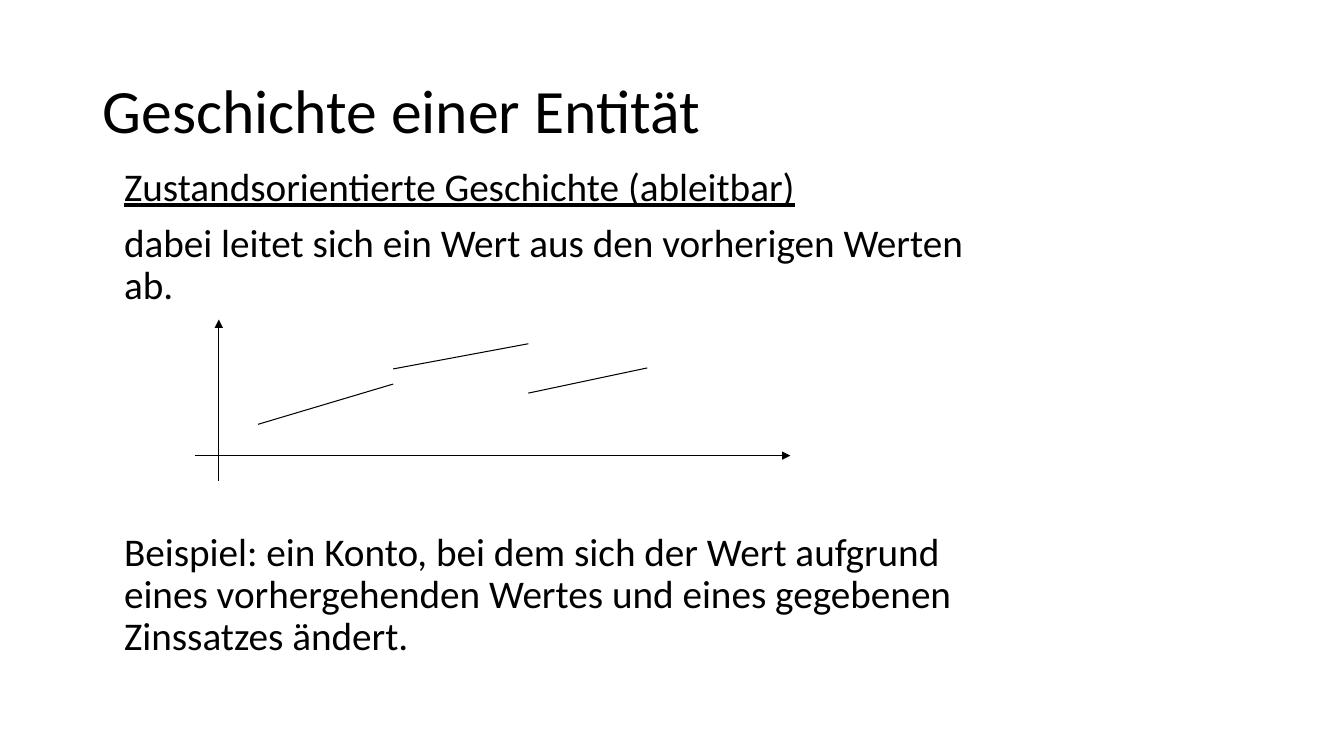
import dataclasses

import pptx
import pptx.dml.color
import pptx.enum.text
import pptx.oxml
import pptx.oxml.ns
import pptx.util

# The slide is a grid of 100 columns and 100 rows
WIDE = pptx.util.Inches(13.33)
HIGH = pptx.util.Inches(7.5)
INK = "000000"


@dataclasses.dataclass
class Line:
    start: tuple[float, float]
    end: tuple[float, float]
    arrow: bool = False


@dataclasses.dataclass
class Para:
    text: str
    size: float = 28
    before: float = 0
    under: bool = False


AXES = [
    Line((14.48, 60.27), (58.81, 60.27), True),
    Line((16.28, 63.6), (16.28, 42.27), True),
]
STEPS = [
    Line((19.2, 56.13), (29.26, 50.8)),
    Line((29.26, 48.8), (39.31, 45.47)),
    Line((39.31, 52), (48.16, 48.67)),
]
TITLE = [Para("Geschichte einer Entität", size=44)]
BODY = [
    Para("Zustandsorientierte Geschichte (ableitbar)", under=True),
    Para("dabei leitet sich ein Wert aus den vorherigen Werten ab.", before=10),
    Para("Beispiel: ein Konto, bei dem sich der Wert aufgrund eines "
         "vorhergehenden Wertes und eines gegebenen Zinssatzes ändert.",
         before=160),
]


def col(share: float) -> int:
    return round(WIDE * share / 100)


def row(share: float) -> int:
    return round(HIGH * share / 100)


def color(code: str) -> pptx.dml.color.RGBColor:
    return pptx.dml.color.RGBColor.from_string(code)


def add_tag(parent, name: str, **values: str) -> None:
    tag = pptx.oxml.ns.qn(name)
    parent.append(parent.makeelement(tag, values))


def fill_text(holder, area: tuple, paras: list[Para], anchor) -> None:
    left, top, width, height = area
    holder.left, holder.top = col(left), row(top)
    holder.width, holder.height = col(width), row(height)
    frame = holder.text_frame
    frame.word_wrap = True
    frame.auto_size = pptx.enum.text.MSO_AUTO_SIZE.NONE
    frame.vertical_anchor = anchor
    for index, item in enumerate(paras):
        para = frame.add_paragraph() if index else frame.paragraphs[0]
        props = para._p.get_or_add_pPr()
        props.set("marL", "0")
        props.set("indent", "0")
        add_tag(props, "a:buNone")
        para.alignment = pptx.enum.text.PP_ALIGN.LEFT
        para.line_spacing = 0.9
        para.space_before = pptx.util.Pt(item.before)
        run = para.add_run()
        run.text = item.text
        run.font.name = "Calibri"
        run.font.size = pptx.util.Pt(item.size)
        run.font.underline = item.under
        run.font.color.rgb = color(INK)


def draw_line(slide, line: Line) -> None:
    (left, top), (right, base) = line.start, line.end
    link = slide.shapes.add_connector(
        pptx.enum.shapes.MSO_CONNECTOR.STRAIGHT,
        col(left), row(top), col(right), row(base))
    link.line.color.rgb = color(INK)
    link.line.width = pptx.util.Pt(0.75)
    if line.arrow:
        add_tag(link.line._get_or_add_ln(), "a:tailEnd", type="triangle")
    add_tag(link._element.spPr, "a:effectLst")


def main() -> None:
    deck = pptx.Presentation()
    deck.slide_width, deck.slide_height = WIDE, HIGH
    slide = deck.slides.add_slide(deck.slide_layouts[1])

    # Title and body
    anchor = pptx.enum.text.MSO_ANCHOR
    fill_text(slide.shapes.title, (6.9, 5.33, 86.27, 19.33), TITLE,
              anchor.MIDDLE)
    fill_text(slide.placeholders[1], (8.48, 21.47, 67.52, 74.53), BODY,
              anchor.TOP)

    # Value over time
    for line in AXES + STEPS:
        draw_line(slide, line)

    deck.save("out.pptx")


if __name__ == "__main__":
    main()
